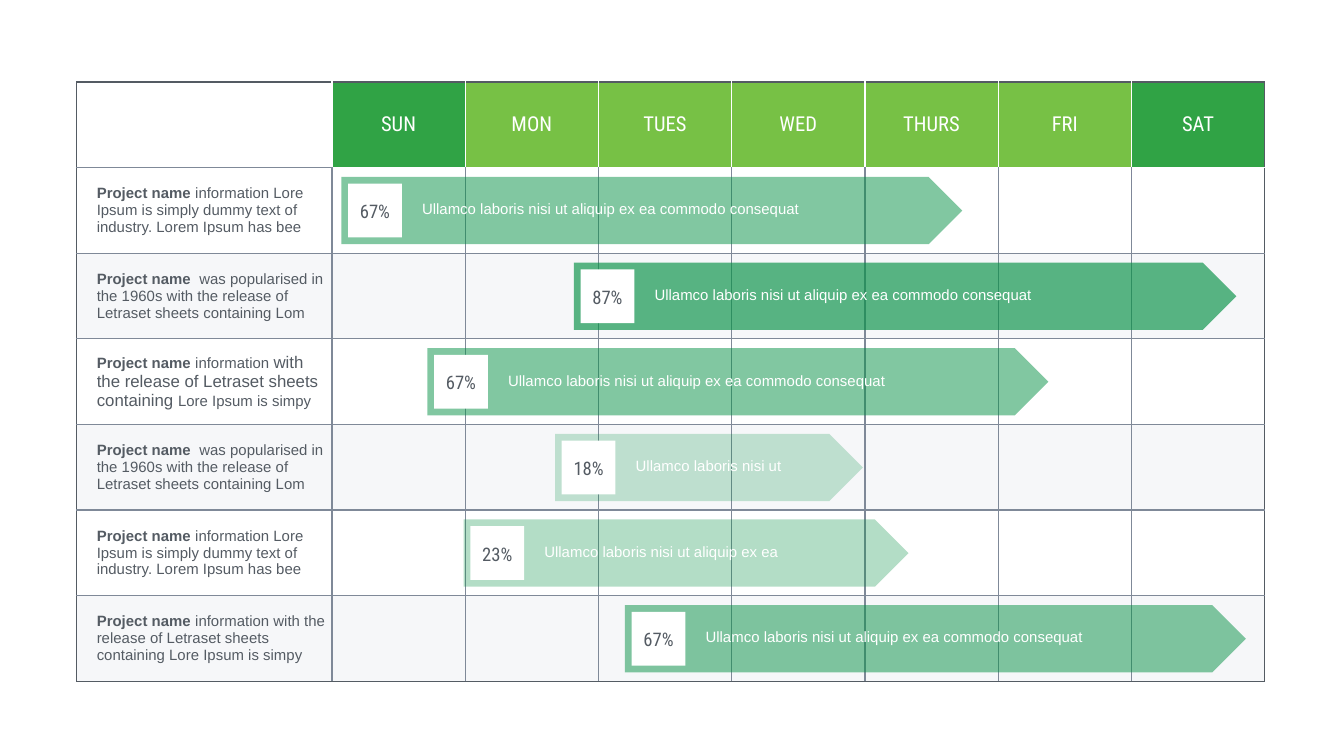
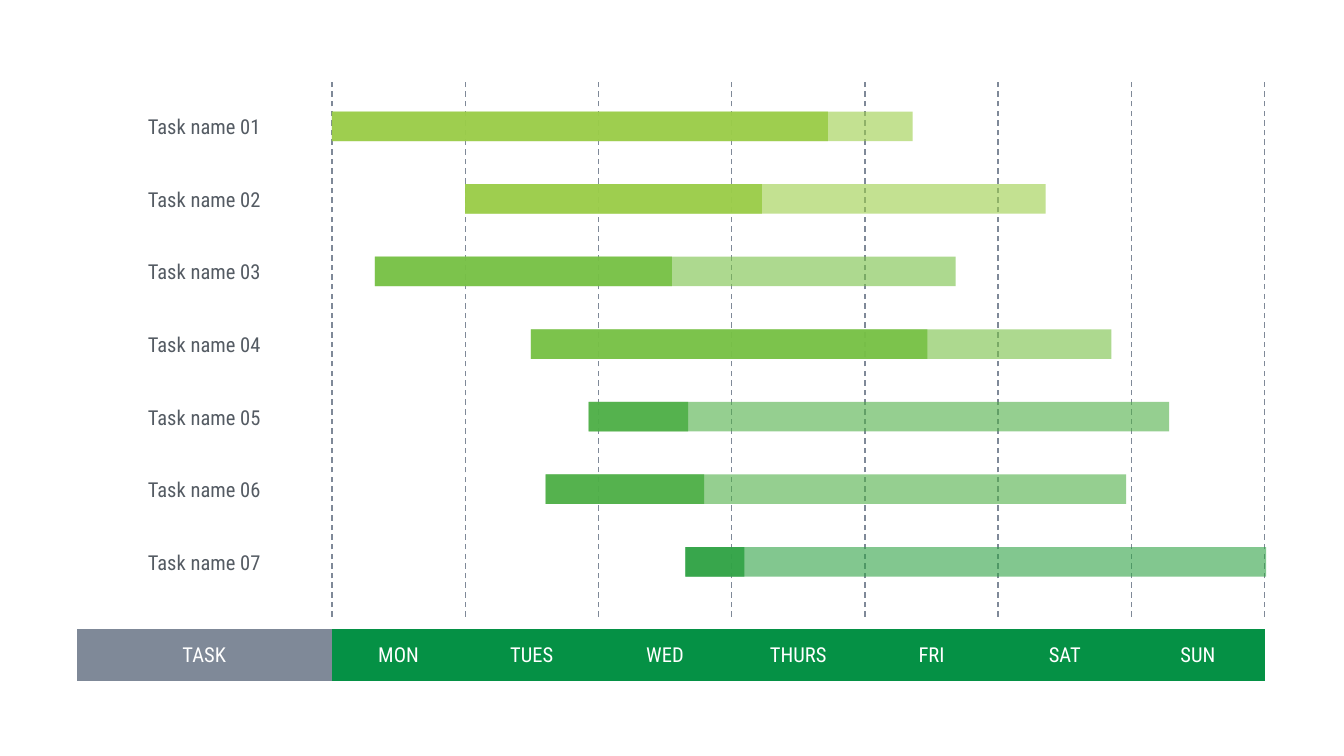
from lxml.etree import SubElement
from pptx import Presentation
from pptx.dml.color import RGBColor
from pptx.enum.dml import MSO_LINE
from pptx.enum.shapes import MSO_CONNECTOR, MSO_SHAPE
from pptx.enum.text import MSO_ANCHOR, PP_ALIGN
from pptx.oxml.ns import qn
from pptx.util import Inches, Pt

# Colours and fonts
WHITE = RGBColor(0xFF, 0xFF, 0xFF)
INK = RGBColor(0x54, 0x5B, 0x63)
GREY = RGBColor(0x7F, 0x89, 0x98)
PALE = RGBColor(0xEE, 0xF0, 0xF4)
DEEP = RGBColor(0x05, 0x91, 0x45)
GREEN = RGBColor(0x30, 0xA3, 0x45)
MID = RGBColor(0x4F, 0xAF, 0x47)
LEAF = RGBColor(0x77, 0xC1, 0x45)
LIME = RGBColor(0x9B, 0xCD, 0x48)
BODY, HEAD = "Arial", "Roboto Condensed"
NO_STYLE = "{2D5ABB26-0587-4C30-8999-92F81FD0307C}"

# Shared grid, in inches
LEFT, LABEL_W, DAYS = 0.57, 1.9, 7
DAY_W = 6.94 / DAYS
GRID_X = LEFT + LABEL_W


def write(tf, runs, size=8, font=BODY, color=INK, align=PP_ALIGN.LEFT):
    """Fill a text frame; runs is a string or (text, bold, size) tuples."""
    if isinstance(runs, str):
        runs = [(runs, False, size)]
    p = tf.paragraphs[0]
    p.alignment = align
    for text, bold, run_size in runs:
        r = p.add_run()
        r.text = text
        r.font.size, r.font.name, r.font.bold = Pt(run_size), font, bold
        r.font.color.rgb = color


def paint(fill, parent, color, alpha=100):
    """Solid fill, with opacity in percent."""
    fill.solid()
    fill.fore_color.rgb = color
    if alpha < 100:
        clr = parent.find(qn("a:solidFill")).find(qn("a:srgbClr"))
        SubElement(clr, qn("a:alpha")).set("val", str(alpha * 1000))


class Deck:
    def __init__(self):
        self.prs = Presentation()
        self.prs.slide_width = Inches(10)
        self.prs.slide_height = Inches(10 * 9 / 16)
        self.shapes = None

    def new_slide(self):
        self.slide = self.prs.slides.add_slide(self.prs.slide_layouts[6])
        self.shapes = self.slide.shapes

    def group(self):
        """Send the next elements into a new group."""
        self.shapes = self.slide.shapes.add_group_shape().shapes

    def shape(self, kind, x, y, w, h, color, alpha=100):
        sp = self.shapes.add_shape(kind, *map(Inches, (x, y, w, h)))
        sp.shadow.inherit = False
        sp.line.fill.background()
        paint(sp.fill, sp._element.spPr, color, alpha)

    def text(self, x, y, w, h, runs, inset=0.02, **fmt):
        tf = self.shapes.add_textbox(*map(Inches, (x, y, w, h))).text_frame
        tf.word_wrap = True
        tf.margin_left = tf.margin_right = Inches(inset)
        tf.margin_top = tf.margin_bottom = Inches(0.02)
        write(tf, runs, **fmt)

    def dashed(self, x, y1, y2):
        ln = self.shapes.add_connector(
            MSO_CONNECTOR.STRAIGHT, *map(Inches, (x, y1, x, y2)))
        ln.line.color.rgb, ln.line.width = GREY, Pt(0.75)
        ln.line.dash_style = MSO_LINE.DASH
        SubElement(ln._element.spPr, qn("a:effectLst"))

    def table(self, y, rows, row_h):
        """Unstyled table of one label column and seven day columns."""
        frame = self.shapes.add_table(
            rows, DAYS + 1, Inches(LEFT), Inches(y),
            Inches(LABEL_W + DAYS * DAY_W), Inches(rows * row_h))
        tb = frame.table
        tb.first_row = tb.horz_banding = False
        tb._tbl.tblPr.find(qn("a:tableStyleId")).text = NO_STYLE
        for c, col in enumerate(tb.columns):
            col.width = Inches(DAY_W if c else LABEL_W)
        for row in tb.rows:
            row.height = Inches(row_h)
        return tb

    def cell(self, cell, runs="", fill=None, alpha=100, left=0.04,
             borders=(), **fmt):
        cell.vertical_anchor = MSO_ANCHOR.MIDDLE
        cell.margin_left, cell.margin_right = Inches(left), Inches(0.04)
        cell.margin_top = cell.margin_bottom = Inches(0.02)
        tc_pr = cell._tc.get_or_add_tcPr()
        for side, color in zip("LRTB", borders):
            ln = SubElement(tc_pr, qn("a:ln" + side), w=str(Pt(0.75)))
            solid = SubElement(ln, qn("a:solidFill"))
            SubElement(solid, qn("a:srgbClr"), val=str(color))
        if fill is None:
            cell.fill.background()
        else:
            paint(cell.fill, tc_pr, fill, alpha)
        if runs:
            write(cell.text_frame, runs, **fmt)


HEADING = dict(size=11, font=HEAD, color=WHITE, align=PP_ALIGN.CENTER)


def project_borders(r, c, last_row):
    """Colours of the left, right, top and bottom edges of a cell."""
    inner = WHITE if r == 0 else GREY
    return (INK if c == 0 else inner,
            INK if c == DAYS else inner,
            INK if r == 0 else WHITE if r == 1 and c else GREY,
            INK if r == last_row else WHITE if r == 0 and c else GREY)


def project_slide(deck):
    deck.new_slide()
    top, row_h = 0.61, 4.46 / 7
    days = ["SUN", "MON", "TUES", "WED", "THURS", "FRI", "SAT"]
    lorem = [("information Lore Ipsum is simply dummy text of industry. "
              "Lorem Ipsum has bee", False, 8)]
    popular = [(" was popularised in the 1960s with the release of "
                "Letraset sheets containing Lom", False, 8)]
    mixed = [("information ", False, 8),
             ("with the release of Letraset sheets containing ", False, 9),
             ("Lore Ipsum is simpy", False, 8)]
    release = [("information with the release of Letraset sheets "
                "containing Lore Ipsum is simpy", False, 8)]
    projects = [lorem, popular, mixed, popular, lorem, release]

    # Week table
    last = len(projects)
    tb = deck.table(top, last + 1, row_h)
    for c in range(DAYS + 1):
        edges = project_borders(0, c, last)
        if c:
            deck.cell(tb.cell(0, c), days[c - 1], borders=edges,
                      fill=GREEN if c in (1, DAYS) else LEAF, **HEADING)
        else:
            deck.cell(tb.cell(0, 0), borders=edges)
        for r, project in enumerate(projects, 1):
            deck.cell(tb.cell(r, c),
                      "" if c else [("Project name ", True, 8)] + project,
                      fill=None if r % 2 else PALE, alpha=50,
                      left=0.04 if c else 0.15,
                      borders=project_borders(r, c, last))

    # Progress arrows: left, width, opacity, percent, text width, text
    short = "Ullamco laboris nisi ut"
    medium = short + " aliquip ex ea"
    full = medium + " commodo consequat"
    arrows = [
        (2.54, 4.62, 50, "67%", 3.11, full),
        (4.27, 4.93, 66, "87%", 3.11, full),
        (3.18, 4.62, 50, "67%", 3.11, full),
        (4.13, 2.29, 23, "18%", 1.4, short),
        (3.45, 3.31, 30, "23%", 2.08, medium),
        (4.65, 4.62, 50, "67%", 3.11, full),
    ]
    for i, (x, w, alpha, percent, text_w, text) in enumerate(arrows, 1):
        y = top + i * row_h + 0.07
        deck.group()
        deck.shape(MSO_SHAPE.PENTAGON, x, y, w, 0.5, DEEP, alpha)
        deck.text(x + 0.56, y + 0.15, text_w, 0.18, text, inset=0.04,
                  color=WHITE)
        deck.shape(MSO_SHAPE.RECTANGLE, x + 0.05, y + 0.05, 0.4, 0.4, WHITE)
        deck.text(x + 0.05, y + 0.15, 0.4, 0.2, percent, size=10, font=HEAD,
                  align=PP_ALIGN.CENTER)


def task_slide(deck):
    deck.new_slide()

    # Day band
    heads = ["TASK", "MON", "TUES", "WED", "THURS", "FRI", "SAT", "SUN"]
    tb = deck.table(4.68, 1, 0.39)
    for c, head in enumerate(heads):
        deck.cell(tb.cell(0, c), head, fill=DEEP if c else GREY, **HEADING)

    # Day lines
    for i in range(DAYS + 1):
        deck.dashed(GRID_X + i * DAY_W, 4.59, 0.6)

    # Task bars: left, completed width, colour
    tasks = [
        (2.47, 3.69, LIME), (3.46, 2.21, LIME), (2.79, 2.21, LEAF),
        (3.95, 2.95, LEAF), (4.38, 0.74, MID), (4.06, 1.18, MID),
        (5.1, 0.44, GREEN),
    ]
    top, pitch, bar_w, bar_h = 0.83, 0.54, 4.32, 0.22
    for i in range(len(tasks)):
        deck.text(LEFT, top + i * pitch, LABEL_W, 0.22,
                  f"Task name {i + 1:02d}", size=11, font=HEAD,
                  align=PP_ALIGN.CENTER)
    for i, (x, done_w, color) in enumerate(tasks):
        deck.group()
        for w, alpha in ((bar_w, 60), (done_w, 90)):
            deck.shape(MSO_SHAPE.RECTANGLE, x, top + i * pitch, w, bar_h,
                       color, alpha)


def main():
    deck = Deck()
    project_slide(deck)
    task_slide(deck)
    deck.prs.save("out.pptx")


if __name__ == "__main__":
    main()
